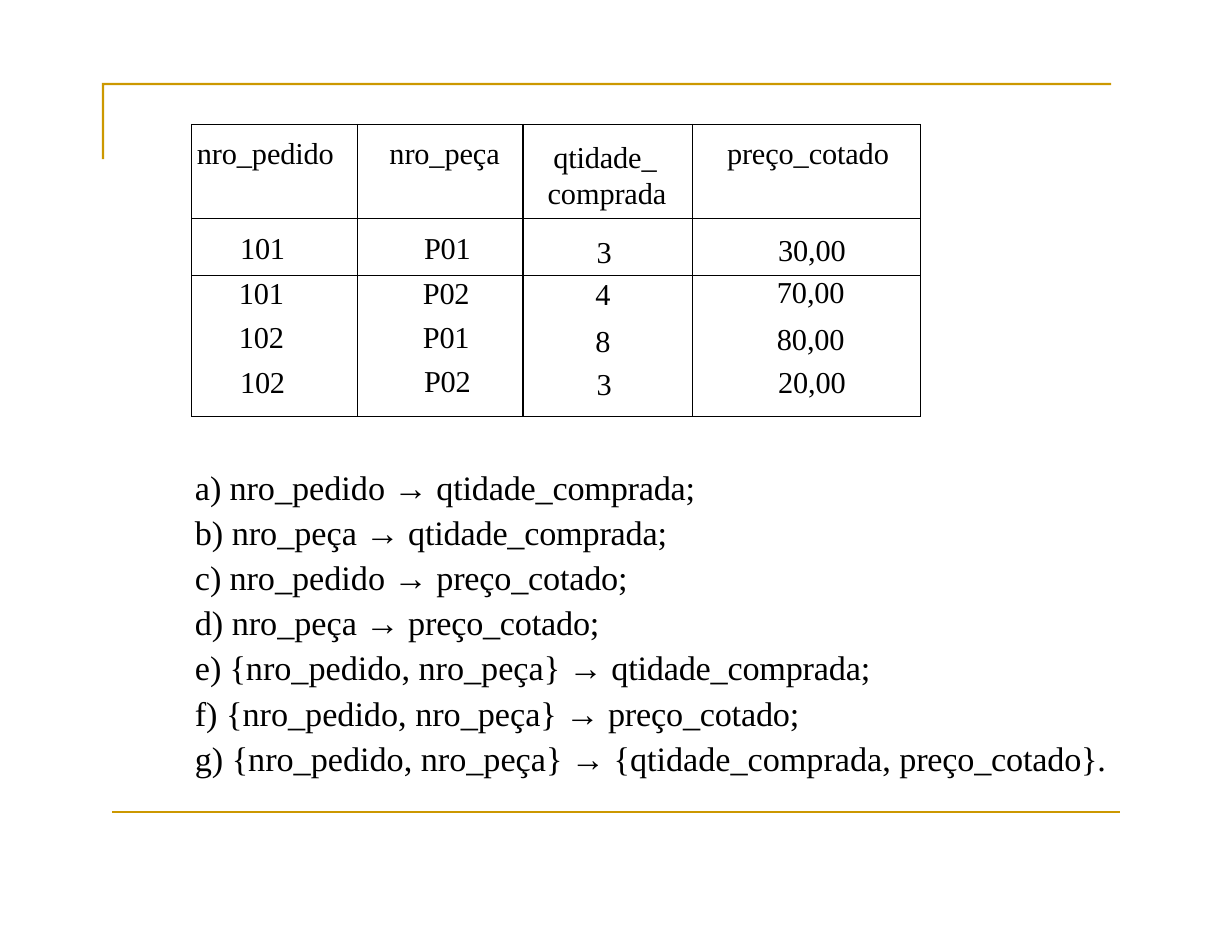
from pptx import Presentation
from pptx.dml.color import RGBColor
from pptx.enum import text
from pptx.oxml.ns import qn
from pptx.util import Inches, Pt
from lxml import etree

GOLD = RGBColor(0xCC, 0x98, 0x00)
BLACK = RGBColor(0, 0, 0)
FONT = "Times New Roman"

COLUMN_WIDTHS = [1.48, 1.48, 1.51, 2.04]
ROW_HEIGHTS = [0.84, 0.51, 0.4, 0.4, 0.46]
RULED_ROWS = {0, 1, 4}
ORDERS = [
    ["nro_pedido", "nro_peça", "qtidade_ comprada", "preço_cotado"],
    ["101", "P01", "3", "30,00"],
    ["101", "P02", "4", "70,00"],
    ["102", "P01", "8", "80,00"],
    ["102", "P02", "3", "20,00"],
]
TOP_MARGINS = [
    [0.12, 0.12, 0.13, 0.12],
    [0.13, 0.13, 0.16, 0.14],
    [0.02, 0.02, 0.03, 0.01],
    [0.01, 0.01, 0.05, 0.03],
    [0.01, 0, 0.03, 0.01],
]
HEADER_SHIFTS = [-0.16, 0.08, 0, 0.03]
DATA_SHIFTS = [-0.21, 0.13, -0.06, 0.1]
ROW_NUDGES = [0, 0, -0.02, -0.02, 0]
DATA_SPACING = [-0.2, -0.2, -0.5, -0.1]

DEPENDENCIES = [
    ("nro_pedido → qtidade_comprada;", 0.33, 0.31),
    ("nro_peça → qtidade_comprada;", 0.35, 0.33),
    ("nro_pedido → preço_cotado;", 0.33, 0.31),
    ("nro_peça → preço_cotado;", 0.35, 0.33),
    ("{nro_pedido, nro_peça} → qtidade_comprada;", 0.33, 0.31),
    ("{nro_pedido, nro_peça} → preço_cotado;", 0.3, 0.28),
    ("{nro_pedido, nro_peça} → {qtidade_comprada, preço_cotado}.", 0.35, 0.33),
]


def add_outline(s, corners):
    points = [(Inches(x), Inches(y)) for x, y in corners]
    builder = s.shapes.build_freeform(*points[0])
    builder.add_line_segments(points[1:], close=True)
    sp = builder.convert_to_shape()
    sp.shadow.inherit = False
    sp.fill.solid()
    sp.fill.fore_color.rgb = GOLD
    sp.line.fill.background()


def add_run(p, words, spacing=0):
    r = p.add_run()
    r.text = words
    if spacing:
        r._r.get_or_add_rPr().set("spc", str(round(spacing * 100)))


def style_paragraph(p, size):
    p.font.name = FONT
    p.font.size = Pt(size)
    p.font.color.rgb = BLACK


def set_indents(p, left=0, right=0, first=0):
    pPr = p._p.get_or_add_pPr()
    for name, value in (("marL", left), ("marR", right), ("indent", first)):
        pPr.set(name, str(Inches(value)))


def set_borders(cell, ruled_sides):
    tcPr = cell._tc.get_or_add_tcPr()
    for side in "LRTB":
        ln = etree.SubElement(tcPr, qn(f"a:ln{side}"), w=str(Pt(0.75)))
        if side in ruled_sides:
            fill = etree.SubElement(ln, qn("a:solidFill"))
            etree.SubElement(fill, qn("a:srgbClr"), val=str(BLACK))
        else:
            etree.SubElement(ln, qn("a:noFill"))


def fill_cell(cell, row, col):
    sides = "LR"
    if row == 0 or row - 1 in RULED_ROWS:
        sides += "T"
    if row in RULED_ROWS:
        sides += "B"
    set_borders(cell, sides)
    cell.fill.background()
    cell.margin_left = cell.margin_right = cell.margin_bottom = 0
    cell.margin_top = Inches(TOP_MARGINS[row][col])
    p = cell.text_frame.paragraphs[0]
    style_paragraph(p, 19.5)
    add_run(p, ORDERS[row][col], DATA_SPACING[col] if row else -0.1)
    if row == 0 and col == 2:
        p.line_spacing = Pt(23.3)
        set_indents(p, left=0.22, first=0.05)
    else:
        p.alignment = text.PP_ALIGN.CENTER
        shift = DATA_SHIFTS[col] + ROW_NUDGES[row] if row else HEADER_SHIFTS[col]
        set_indents(p, left=max(shift, 0), right=max(-shift, 0))


def add_orders_table(s):
    frame = s.shapes.add_table(
        len(ORDERS), len(COLUMN_WIDTHS), Inches(1.71), Inches(1.11),
        Inches(sum(COLUMN_WIDTHS)), Inches(sum(ROW_HEIGHTS)))
    table = frame.table
    table.first_row = table.horz_banding = False
    for column, width in zip(table.columns, COLUMN_WIDTHS):
        column.width = Inches(width)
    for row, height in enumerate(ROW_HEIGHTS):
        table.rows[row].height = Inches(height)
        for col in range(len(COLUMN_WIDTHS)):
            fill_cell(table.cell(row, col), row, col)


def add_dependency_list(s):
    sp = s.shapes.add_textbox(Inches(1.72), Inches(4.11), Inches(8.2), Inches(2.85))
    tf = sp.text_frame
    tf.word_wrap = True
    tf.auto_size = text.MSO_AUTO_SIZE.SHAPE_TO_FIT_TEXT
    tf.margin_left = tf.margin_right = tf.margin_bottom = 0
    tf.margin_top = Inches(0.05)
    for i, (rule, left, hanging) in enumerate(DEPENDENCIES):
        p = tf.add_paragraph() if i else tf.paragraphs[0]
        p.space_before = Pt(2.7 if i else 3.6)
        set_indents(p, left=left, first=-hanging)
        etree.SubElement(p._p.get_or_add_pPr(), qn("a:buAutoNum"), type="alphaLcParenR")
        style_paragraph(p, 22)
        start, space, last = rule.rpartition(" ")
        add_run(p, start + space)
        add_run(p, last, -0.1)


def main():
    prs = Presentation()
    prs.slide_width = Inches(11)
    prs.slide_height = Inches(8.5)
    s = prs.slides.add_slide(prs.slide_layouts[6])
    add_outline(s, [(0.91, 0.74), (9.92, 0.74), (9.92, 0.76),
                    (0.93, 0.76), (0.93, 1.42), (0.91, 1.42)])
    add_orders_table(s)
    add_outline(s, [(1, 7.24), (10, 7.24), (10, 7.26), (1, 7.26)])
    add_dependency_list(s)
    prs.save("out.pptx")


if __name__ == "__main__":
    main()
